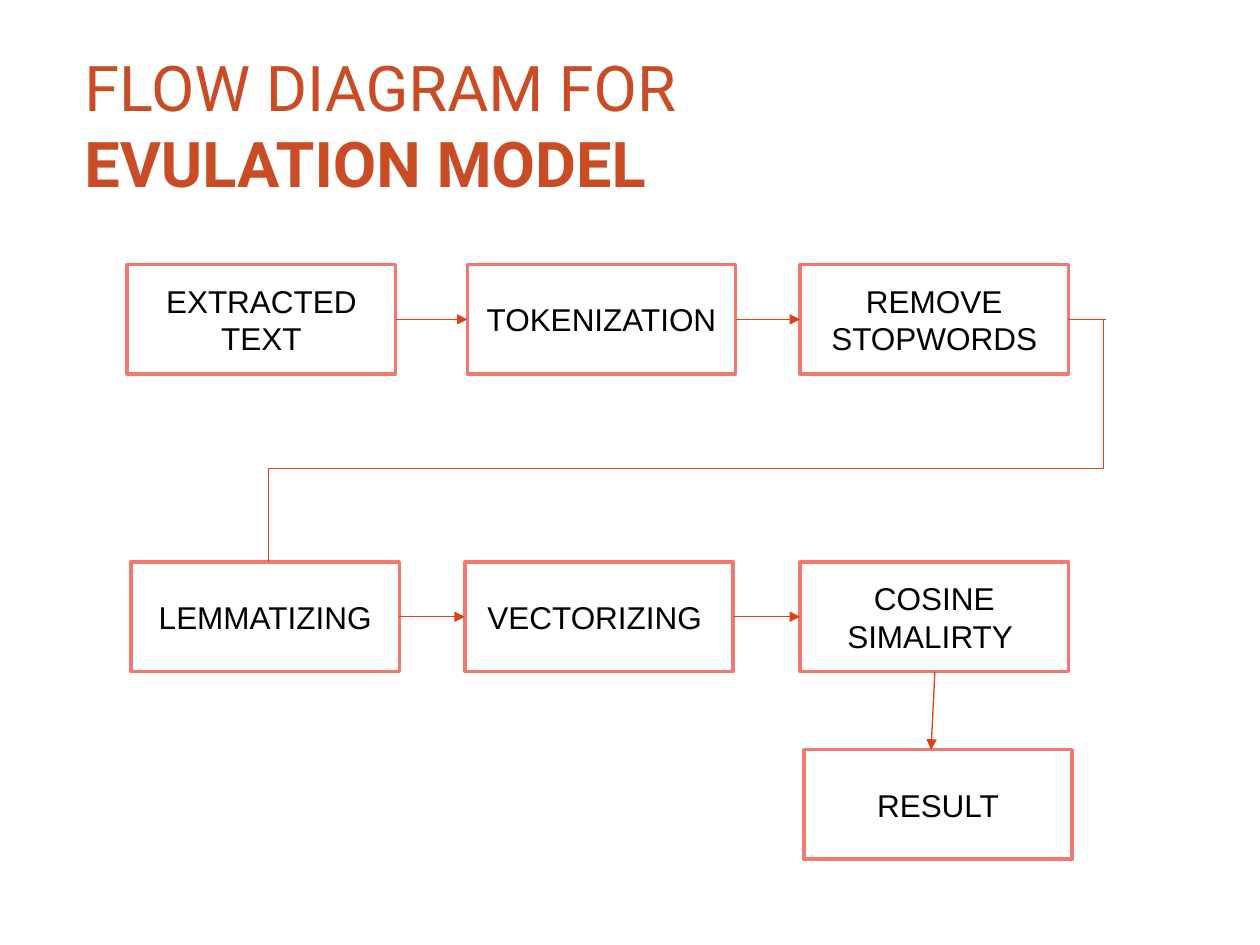
from lxml import etree
from pptx import Presentation
from pptx.dml.color import RGBColor
from pptx.enum.shapes import MSO_CONNECTOR, MSO_SHAPE
from pptx.enum.text import MSO_ANCHOR, PP_ALIGN
from pptx.oxml.ns import qn
from pptx.util import Inches, Pt

STRAIGHT, ELBOW = MSO_CONNECTOR.STRAIGHT, MSO_CONNECTOR.ELBOW
RECTANGLE = MSO_SHAPE.RECTANGLE
MIDDLE, CENTER = MSO_ANCHOR.MIDDLE, PP_ALIGN.CENTER

COLORS = {"title": "C94C25", "border": "F3786E", "arrow": "D94315",
          "fill": "FFFFFF", "text": "000000"}
TITLE = [("FLOW DIAGRAM FOR ", False), ("EVULATION MODEL", True)]
BOX_WIDTH, BOX_HEIGHT = 2.13, 0.87
TOP_ROW, BOTTOM_ROW = 2.1, 4.46
STEPS = {
    "extract": ("EXTRACTED TEXT", 1.01, TOP_ROW),
    "tokenize": ("TOKENIZATION", 3.71, TOP_ROW),
    "stopwords": ("REMOVE STOPWORDS", 6.35, TOP_ROW),
    "lemmatize": ("LEMMATIZING", 1.04, BOTTOM_ROW),
    "vectorize": ("VECTORIZING ", 3.69, BOTTOM_ROW),
    "similarity": ("COSINE SIMALIRTY ", 6.35, BOTTOM_ROW),
    "result": ("RESULT", 6.38, 5.95),
}
ROW_ARROWS = [("extract", "tokenize"), ("tokenize", "stopwords"),
              ("lemmatize", "vectorize"), ("vectorize", "similarity")]
RETURN_BENDS = {"adj1": -3900, "adj2": 61400}


def color(name):
    return RGBColor.from_string(COLORS[name])


def add_title(slide):
    box = slide.shapes.add_textbox(Inches(0.47), Inches(0.55), Inches(5.33), Inches(0.87))
    frame = box.text_frame
    frame.word_wrap = True
    frame.vertical_anchor = MIDDLE
    frame.margin_left, frame.margin_right = Inches(0.2), 0
    paragraph = frame.paragraphs[0]
    paragraph.font.name = "Roboto"
    paragraph.font.size = Pt(36)
    paragraph.font.color.rgb = color("title")
    for text, bold in TITLE:
        run = paragraph.add_run()
        run.text = text
        run.font.bold = bold


def add_step(slide, text, left, top):
    shape = slide.shapes.add_shape(RECTANGLE, Inches(left), Inches(top),
                                   Inches(BOX_WIDTH), Inches(BOX_HEIGHT))
    shape.shadow.inherit = False
    shape.fill.solid()
    shape.fill.fore_color.rgb = color("fill")
    shape.line.color.rgb = color("border")
    shape.line.width = Pt(2)
    frame = shape.text_frame
    frame.word_wrap = True
    frame.vertical_anchor = MIDDLE
    paragraph = frame.paragraphs[0]
    paragraph.text = text
    paragraph.alignment = CENTER
    paragraph.font.name = "Arial"
    paragraph.font.size = Pt(18)
    paragraph.font.color.rgb = color("text")


def add_line(slide, start, end, kind=STRAIGHT, arrow=False):
    points = [Inches(value) for value in (*start, *end)]
    connector = slide.shapes.add_connector(kind, *points)
    connector.line.color.rgb = color("arrow")
    connector.line.width = Pt(0.75)
    properties = connector._element.spPr
    etree.SubElement(properties, qn("a:effectLst"))
    if arrow:
        line = properties.find(qn("a:ln"))
        etree.SubElement(line, qn("a:tailEnd"), type="triangle")
    return connector


def add_return_line(slide, start, end):
    connector = add_line(slide, start, end, ELBOW)
    geometry = connector._element.spPr.find(qn("a:prstGeom"))
    geometry.set("prst", "bentConnector4")
    adjustments = geometry.find(qn("a:avLst"))
    for name, value in RETURN_BENDS.items():
        etree.SubElement(adjustments, qn("a:gd"), name=name, fmla=f"val {value}")


def left_side(step):
    _, left, top = STEPS[step]
    return left, top + BOX_HEIGHT / 2


def right_side(step):
    left, middle = left_side(step)
    return left + BOX_WIDTH, middle


def main():
    presentation = Presentation()
    presentation.slide_width, presentation.slide_height = Inches(10), Inches(7.5)
    slide = presentation.slides.add_slide(presentation.slide_layouts[6])

    add_title(slide)
    for text, left, top in STEPS.values():
        add_step(slide, text, left, top)
    for source, target in ROW_ARROWS:
        add_line(slide, right_side(source), left_side(target), arrow=True)

    exit_x, exit_y = right_side("stopwords")
    add_line(slide, (exit_x, exit_y), (exit_x + 0.3, exit_y))
    add_return_line(slide, (8.51, exit_y), (2.13, BOTTOM_ROW))
    add_line(slide, (7.42, BOTTOM_ROW + BOX_HEIGHT), (7.39, STEPS["result"][2]), arrow=True)

    presentation.save("out.pptx")


if __name__ == "__main__":
    main()
